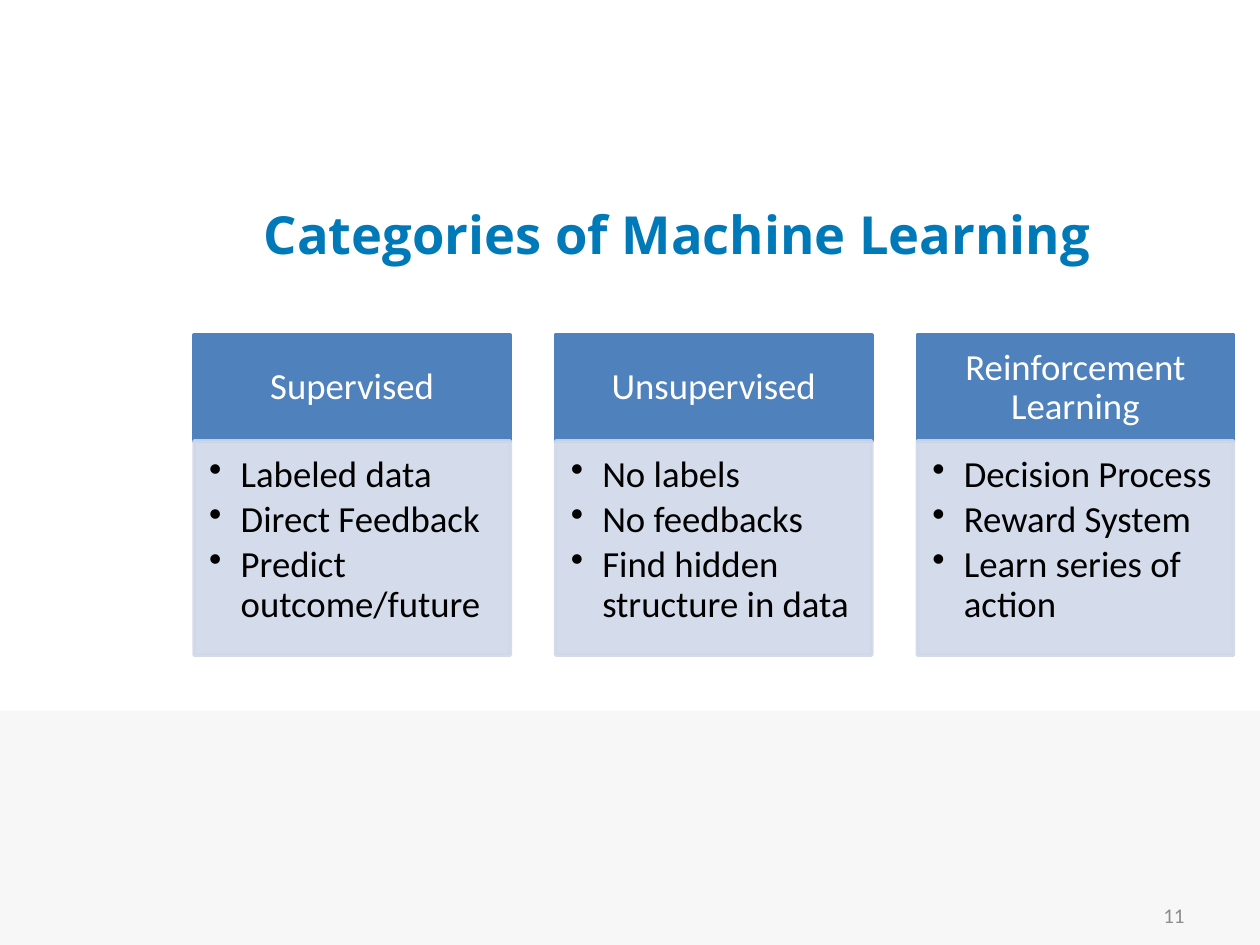
from dataclasses import dataclass

from lxml.etree import SubElement
from pptx import Presentation
from pptx.dml.color import RGBColor as RGB
from pptx.enum.shapes import MSO_SHAPE as Shape
from pptx.enum.text import MSO_ANCHOR as Anchor, PP_ALIGN as Align
from pptx.oxml.ns import qn
from pptx.util import Inches, Pt


@dataclass(frozen=True)
class Theme:
    title_font: str = "Open Sans"
    body_font: str = "Calibri"
    title_size: int = 30
    body_size: int = 21
    number_size: int = 12
    title: str = "0079B8"
    header: str = "4F81BD"
    panel: str = "D0D8E8"
    band: str = "F7F7F7"
    number: str = "8C8C8C"
    light: str = "FFFFFF"
    dark: str = "000000"


THEME = Theme()

CATEGORIES = {
    "Supervised": ["Labeled data", "Direct Feedback", "Predict outcome/future"],
    "Unsupervised": ["No labels", "No feedbacks", "Find hidden structure in data"],
    "Reinforcement Learning": ["Decision Process", "Reward System", "Learn series of action"],
}


def apply(target, formats):
    for name, value in formats.items():
        setattr(target, name, value)


def write(holder, lines, font, paragraph=None, frame=None):
    """Fill a shape with one paragraph per line and return the paragraphs."""
    text_frame = holder.text_frame
    apply(text_frame, {"word_wrap": True, **(frame or {})})
    text_frame.text = "\n".join(lines)
    color = RGB.from_string(font["color"])
    for line in text_frame.paragraphs:
        apply(line, paragraph or {})
        for run in line.runs:
            apply(run.font, {k: v for k, v in font.items() if k != "color"})
            run.font.color.rgb = color
    return text_frame.paragraphs


def add_block(slide, box, color, outline=True, opacity=None):
    block = slide.shapes.add_shape(Shape.RECTANGLE, *map(Inches, box))
    block.shadow.inherit = False
    block.fill.solid()
    block.fill.fore_color.rgb = RGB.from_string(color)
    if outline:
        block.line.width = Pt(2)
        block.line.color.rgb = RGB.from_string(color)
    else:
        block.line.fill.background()
    if opacity:
        for srgb in block._element.spPr.iter(qn("a:srgbClr")):
            SubElement(srgb, qn("a:alpha"), val=str(opacity * 1000))
    return block


def insets(left, top, right, bottom):
    return {"margin_left": Inches(left), "margin_top": Inches(top),
            "margin_right": Inches(right), "margin_bottom": Inches(bottom)}


def add_bullet(paragraph):
    properties = paragraph._p.get_or_add_pPr()
    properties.set("marL", str(Inches(0.25)))
    properties.set("indent", str(-Inches(0.25)))
    SubElement(properties, qn("a:buChar"), char="•")


def add_label(slide, box, text, font, align):
    label = slide.shapes.add_textbox(*map(Inches, box))
    write(label, [text], font, {"alignment": align}, {"vertical_anchor": Anchor.MIDDLE})


def add_category(slide, box, name, points):
    left, top, width, height = box
    header_height = 0.84
    font = {"name": THEME.body_font, "size": Pt(THEME.body_size)}

    header = add_block(slide, (left, top, width, header_height), THEME.header)
    write(header, [name], {**font, "color": THEME.light},
          {"alignment": Align.CENTER, "line_spacing": 0.9},
          {"vertical_anchor": Anchor.MIDDLE, **insets(0.16, 0.09, 0.16, 0.09)})

    panel = add_block(slide, (left, top + header_height, width, height - header_height),
                      THEME.panel, opacity=90)
    bullets = write(panel, points, {**font, "color": THEME.dark},
                    {"alignment": Align.LEFT, "line_spacing": 0.9, "space_after": Pt(3), "level": 1},
                    {"vertical_anchor": Anchor.TOP, **insets(0.12, 0.12, 0.16, 0.18)})
    for bullet in bullets:
        add_bullet(bullet)


def add_categories(slide, box, gap=0.36):
    """Share the width of the box equally among the categories."""
    left, top, width, height = box
    count = len(CATEGORIES)
    column = (width - gap * (count - 1)) / count
    for index, (name, points) in enumerate(CATEGORIES.items()):
        add_category(slide, (left + index * (column + gap), top, column, height), name, points)


def main():
    deck = Presentation()
    apply(deck, {"slide_width": Inches(10), "slide_height": Inches(7.5)})
    slide = deck.slides.add_slide(deck.slide_layouts[6])

    add_block(slide, (0, 5.64, 10, 1.86), THEME.band, outline=False)
    add_label(slide, (1.25, 1.5, 8.25, 0.7), "Categories of Machine Learning",
              {"name": THEME.title_font, "size": Pt(THEME.title_size), "bold": True,
               "color": THEME.title}, Align.CENTER)
    add_label(slide, (7.17, 7.06, 2.33, 0.4), "11",
              {"name": THEME.body_font, "size": Pt(THEME.number_size),
               "color": THEME.number}, Align.RIGHT)
    add_categories(slide, (1.54, 2.66, 8.25, 2.54))
    deck.save("out.pptx")


if __name__ == "__main__":
    main()
